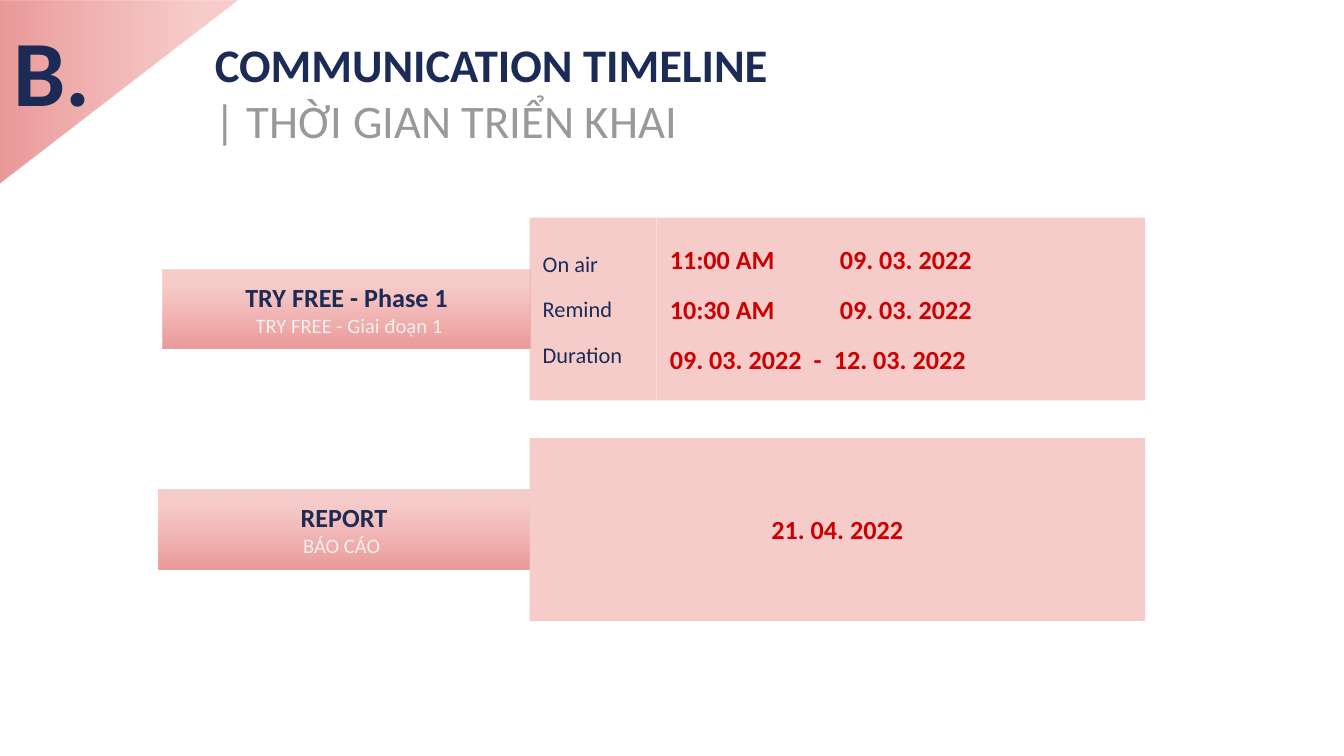
"""Build the communication timeline slide."""
import pptx
import pptx.util
import pptx.oxml
import pptx.oxml.ns
import pptx.dml.color
import pptx.enum.shapes
import pptx.enum.text
from lxml import etree

PX = 4572
HUES = {"navy": "1C2B55", "red": "CC0000", "gray": "999999",
        "pale": "EFEFEF", "pink": "F2ADAA", "rose": "EA9999"}
ALIGN = pptx.enum.text.PP_ALIGN
ANCHOR = pptx.enum.text.MSO_ANCHOR
KIND = pptx.enum.shapes.MSO_SHAPE
QN = pptx.oxml.ns.qn
NS = pptx.oxml.ns.nsdecls("a")
VEIL = f'<a:srgbClr val="{HUES["pink"]}"><a:alpha val="62000"/></a:srgbClr>'
SOLID = f"<a:solidFill {NS}>{VEIL}</a:solidFill>"
FADE = (f'<a:gradFill {NS} rotWithShape="1"><a:gsLst>'
        f'<a:gs pos="0">{VEIL}</a:gs><a:gs pos="18000">{VEIL}</a:gs>'
        f'<a:gs pos="100000"><a:srgbClr val="{HUES["rose"]}"/></a:gs>'
        '</a:gsLst><a:lin ang="5400000" scaled="0"/></a:gradFill>')


def write(shape, rows, size=14, hue="navy", bold=True, align=ALIGN.LEFT,
          anchor=ANCHOR.MIDDLE, gap=0):
    """Fill a shape with rows of (text, format changes)."""
    frame = shape.text_frame
    frame.word_wrap = True
    frame.auto_size = pptx.enum.text.MSO_AUTO_SIZE.NONE
    frame.vertical_anchor = anchor
    frame.margin_left = frame.margin_right = 20 * PX
    frame.margin_top = frame.margin_bottom = 20 * PX
    for num, (text, change) in enumerate(rows):
        style = {"size": size, "hue": hue, "bold": bold, "tabs": (), **change}
        para = frame.add_paragraph() if num else frame.paragraphs[0]
        para.alignment = align
        para.space_before = pptx.util.Pt(gap if num else 0)
        if style["tabs"]:
            stops = etree.SubElement(para._p.get_or_add_pPr(), QN("a:tabLst"))
            for stop in style["tabs"]:
                etree.SubElement(stops, QN("a:tab"), pos=str(stop * PX), algn="l")
        run = para.add_run()
        run.text = text
        font = run.font
        font.name = "Calibri"
        font.size = pptx.util.Pt(style["size"])
        font.bold = style["bold"]
        font.color.rgb = pptx.dml.color.RGBColor.from_string(HUES[style["hue"]])


class Deck:
    """Hold the file, its slide and the way shapes are drawn."""

    def __init__(self, wide, high):
        """Start a file with one title-only slide."""
        self.file = pptx.Presentation()
        self.file.slide_width, self.file.slide_height = wide * PX, high * PX
        self.slide = self.file.slides.add_slide(self.file.slide_layouts[5])
        self.shapes = self.slide.shapes

    def shape(self, box, fill, kind=KIND.RECTANGLE, turn=0):
        """Add a filled shape without line or shadow."""
        item = self.shapes.add_shape(kind, *(n * PX for n in box))
        item.shadow.inherit = False
        item.rotation = turn
        item.fill.background()
        props = item._element.spPr
        props.replace(props.find(QN("a:noFill")), pptx.oxml.parse_xml(fill))
        item.line.fill.background()
        return item

    def panel(self, box, rows, fill=SOLID, **form):
        """Add a filled box of text."""
        write(self.shape(box, fill), rows, **form)

    def label(self, box, head, sub):
        """Add a shaded label in two languages."""
        self.panel(box, [(head, {}), (sub, {"size": 11, "hue": "pale", "bold": False})],
                   fill=FADE, align=ALIGN.CENTER)

    def text(self, box, rows, **form):
        """Add a plain text box."""
        write(self.shapes.add_textbox(*(n * PX for n in box)), rows, **form)

    def title(self, box, text, **form):
        """Place the title in front of the shapes so far."""
        item = self.shapes.title
        item.left, item.top, item.width, item.height = (n * PX for n in box)
        write(item, [(text, {})], **form)
        self.shapes.element.append(item.element)


def main():
    """Draw the slide and save it."""
    deck = Deck(2000, 1125)
    deck.label((242, 401, 548, 118), "TRY FREE - Phase 1", " TRY FREE - Giai đoạn 1")
    deck.text((300, 1, 1662, 272),
              [("COMMUNICATION TIMELINE", {}),
               ("| THỜI GIAN TRIỂN KHAI", {"hue": "gray", "bold": False})], size=25)
    deck.label((236, 729, 552, 118), "REPORT", "BÁO CÁO ")
    deck.shape((40, -40, 272, 354), FADE, KIND.RIGHT_TRIANGLE, 90)
    deck.panel((977, 324, 727, 272),
               [("11:00 AM\t09. 03. 2022", {"tabs": (253,)}),
                ("10:30 AM\t09. 03. 2022", {"tabs": (253,)}),
                ("09. 03. 2022\t-\t12. 03. 2022", {"tabs": (214, 244)})],
               hue="red", gap=10)
    deck.panel((788, 652, 916, 272), [("21. 04. 2022", {})],
               hue="red", align=ALIGN.CENTER)
    deck.title((0, 0, 354, 272), "B.", size=50, anchor=ANCHOR.TOP)
    deck.panel((788, 324, 189, 272),
               [(name, {}) for name in ("On air", "Remind", "Duration")],
               size=12, bold=False, gap=10)
    deck.file.save("out.pptx")


if __name__ == "__main__":
    main()
